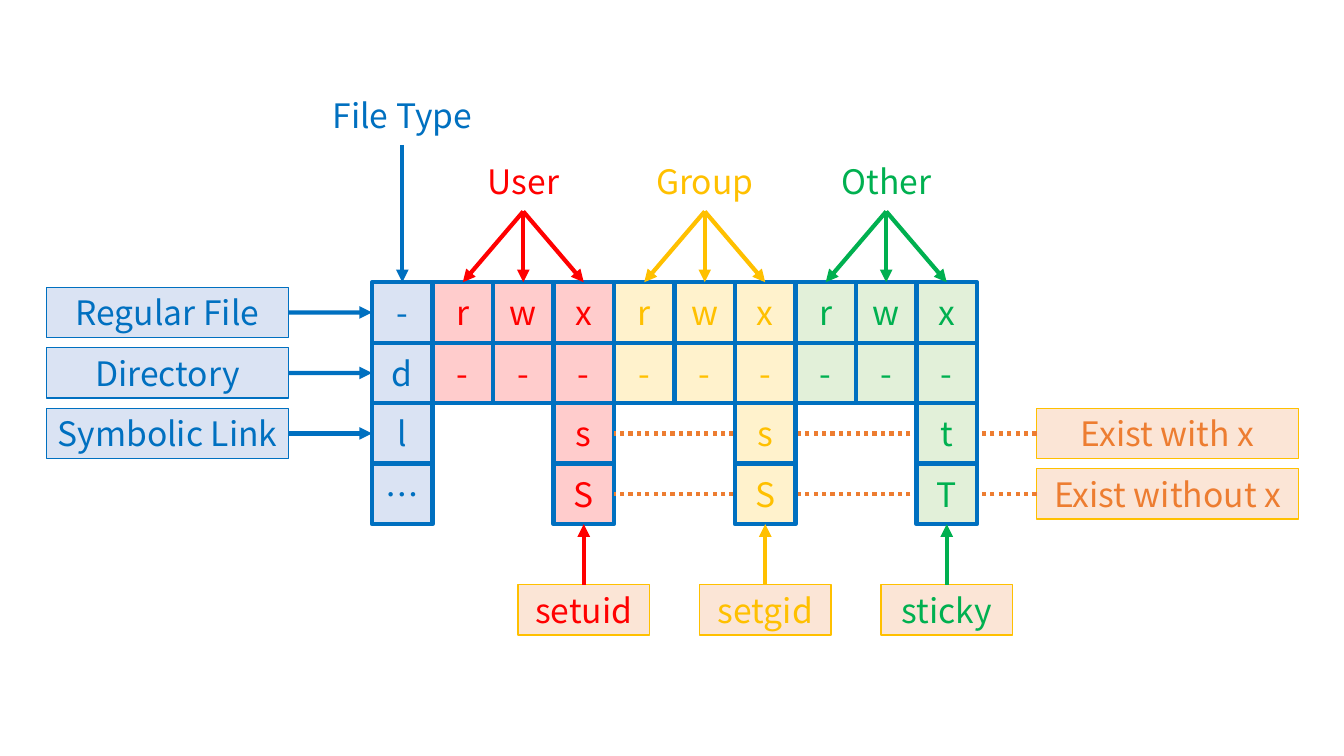
from lxml.etree import SubElement
from pptx import Presentation
from pptx.dml.color import RGBColor
from pptx.enum.dml import MSO_LINE_DASH_STYLE as Dash
from pptx.enum.lang import MSO_LANGUAGE_ID as Language
from pptx.enum.shapes import MSO_CONNECTOR, MSO_SHAPE
from pptx.enum.text import MSO_ANCHOR, PP_ALIGN
from pptx.oxml.ns import qn
from pptx.util import Inches, Pt

BLUE = RGBColor(0x00, 0x70, 0xC0)
RED = RGBColor(0xFF, 0x00, 0x00)
GOLD = RGBColor(0xFF, 0xC0, 0x00)
GREEN = RGBColor(0x00, 0xB0, 0x50)
ORANGE = RGBColor(0xED, 0x7D, 0x31)
PALE_BLUE = RGBColor(0xDA, 0xE3, 0xF3)
PALE_RED = RGBColor(0xFF, 0xCC, 0xCC)
PALE_GOLD = RGBColor(0xFF, 0xF2, 0xCC)
PALE_GREEN = RGBColor(0xE2, 0xF0, 0xD9)
PALE_ORANGE = RGBColor(0xFB, 0xE5, 0xD6)

TOP, LEFT, BOTTOM, RIGHT = range(4)
FONT = "Noto Sans CJK SC"
TAG_HEIGHT = 5 / 6

# Label, text colour, cell fill, special bit and its two letters
CLASSES = [
    ("User", RED, PALE_RED, "setuid", "sS", 1.67),
    ("Group", GOLD, PALE_GOLD, "setgid", "sS", 2.17),
    ("Other", GREEN, PALE_GREEN, "sticky", "tT", 2),
]


def write(shape, text, color, size=24):
    frame = shape.text_frame
    frame.word_wrap = False
    frame.vertical_anchor = MSO_ANCHOR.MIDDLE
    paragraph = frame.paragraphs[0]
    paragraph.alignment = PP_ALIGN.CENTER
    run = paragraph.add_run()
    run.text = text
    run.font.size = Pt(size)
    run.font.name = FONT
    run.font.color.rgb = color
    run.font.language_id = Language.SIMPLIFIED_CHINESE
    SubElement(run.font._element, qn("a:ea"), typeface=FONT)


class PermissionDiagram:
    """Places elements by their centre, in columns and rows of the cell grid."""

    cell = 0.6
    left, top = 3.69, 2.8

    def __init__(self, slide):
        self.shapes = slide.shapes

    def frame(self, column, row, width, height):
        return (
            Inches(self.left + (column - width / 2) * self.cell),
            Inches(self.top + (row - height / 2) * self.cell),
            Inches(width * self.cell),
            Inches(height * self.cell),
        )

    def label(self, text, column, row, width, color):
        shape = self.shapes.add_textbox(*self.frame(column, row, width, 1))
        write(shape, text, color)
        return shape

    def box(self, text, column, row, width, height, color, fill, line, weight=1):
        shape = self.shapes.add_shape(
            MSO_SHAPE.RECTANGLE, *self.frame(column, row, width, height))
        shape.shadow.inherit = False
        shape.fill.solid()
        shape.fill.fore_color.rgb = fill
        shape.line.color.rgb = line
        shape.line.width = Pt(weight)
        write(shape, text, color)
        return shape

    def grid_cell(self, text, column, row, color, fill):
        return self.box(text, column + 0.5, row + 0.5, 1, 1, color, fill, BLUE, 3)

    def connect(self, start, start_side, end, end_side, color, dotted=False):
        """Join two shapes with an arrow, or with a dotted line."""
        connector = self.shapes.add_connector(MSO_CONNECTOR.STRAIGHT, 0, 0, 0, 0)
        connector.begin_connect(start, start_side)
        connector.end_connect(end, end_side)
        connector.line.color.rgb = color
        connector.line.width = Pt(3)
        if dotted:
            connector.line.dash_style = Dash.ROUND_DOT
        else:
            SubElement(connector.line._get_or_add_ln(), qn("a:tailEnd"), type="triangle")
        SubElement(connector._element.spPr, qn("a:effectLst"))

    def file_types(self):
        label = self.label("File Type", 0.5, -2.77, 2.67, BLUE)
        names = ["Regular File", "Directory", "Symbolic Link", None]
        for row, (letter, name) in enumerate(zip("-dl…", names)):
            cell = self.grid_cell(letter, 0, row, BLUE, PALE_BLUE)
            if row == 0:
                self.connect(label, BOTTOM, cell, TOP, BLUE)
            if name:
                tag = self.box(name, -3.38, row + 0.5, 4, TAG_HEIGHT,
                               BLUE, PALE_BLUE, BLUE)
                self.connect(tag, RIGHT, cell, LEFT, BLUE)

    def notes(self):
        return [
            self.box(text, 13.15, row + 0.5, 4.33, TAG_HEIGHT,
                     ORANGE, PALE_ORANGE, GOLD)
            for row, text in enumerate(["Exist with x", "Exist without x"], 2)
        ]

    def permission_class(self, first, name, color, fill, special, letters, width):
        """Draw one class from column `first`; return its special-bit cells."""
        label = self.label(name, first + 1.5, -1.67, width, color)
        for column, letter in enumerate("rwx", first):
            cell = self.grid_cell(letter, column, 0, color, fill)
            self.grid_cell("-", column, 1, color, fill)
            self.connect(label, BOTTOM, cell, TOP, color)
        last = first + 2
        cells = [self.grid_cell(letter, last, row, color, fill)
                 for row, letter in enumerate(letters, 2)]
        tag = self.box(special, last + 0.5, 5.42, 2.17, TAG_HEIGHT,
                       color, PALE_ORANGE, GOLD)
        self.connect(tag, TOP, cells[-1], BOTTOM, color)
        return cells


def main():
    presentation = Presentation()
    presentation.slide_width = Inches(13.33)
    presentation.slide_height = Inches(7.5)
    slide = presentation.slides.add_slide(presentation.slide_layouts[6])

    diagram = PermissionDiagram(slide)
    diagram.file_types()
    notes = diagram.notes()
    for index, permission in enumerate(CLASSES):
        cells = diagram.permission_class(1 + 3 * index, *permission)
        if index == 0:  # later classes cover the dotted lines
            for note, cell in zip(notes, cells):
                diagram.connect(note, LEFT, cell, RIGHT, ORANGE, dotted=True)
    presentation.save("out.pptx")


if __name__ == "__main__":
    main()
